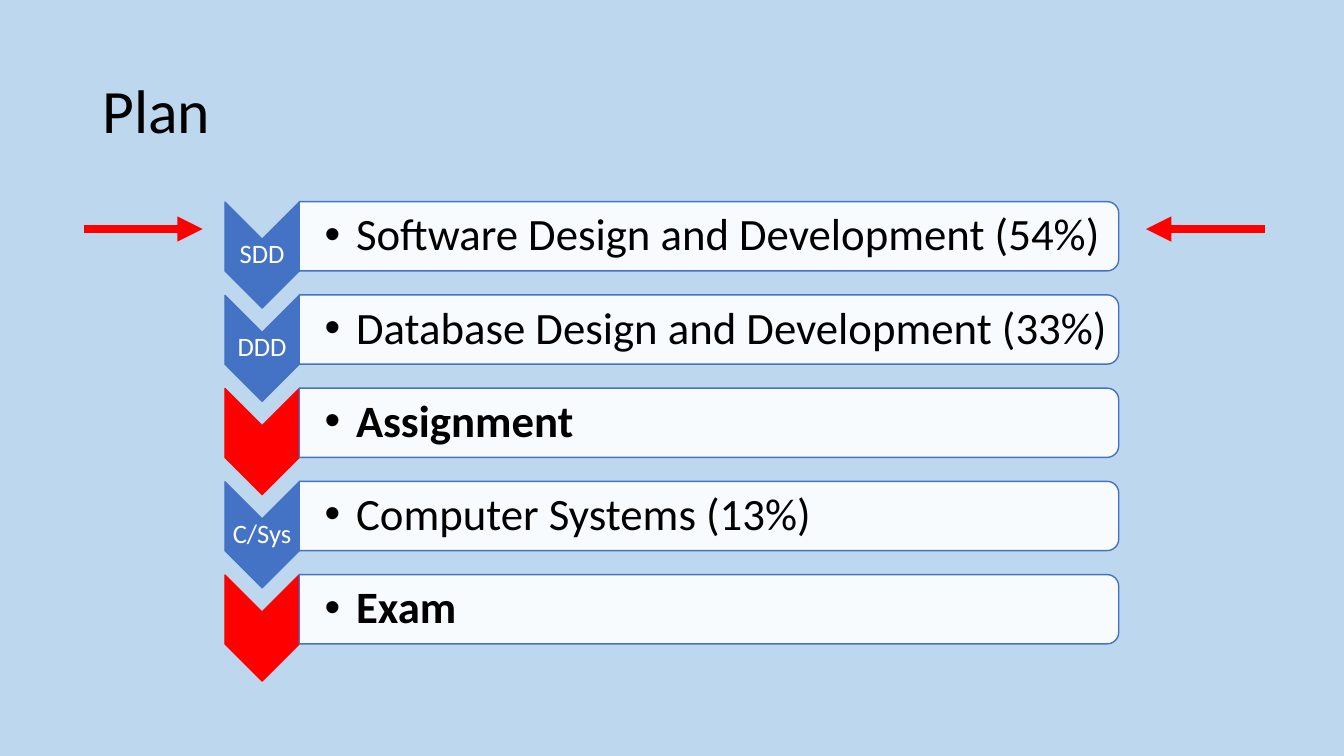
"""Build the course plan slide with its five stages and two marker arrows."""
import pptx
import pptx.dml.color
import pptx.enum.shapes
import pptx.enum.text
import pptx.oxml
import pptx.oxml.ns
import pptx.util

Pt = pptx.util.Pt
SHAPE = pptx.enum.shapes.MSO_SHAPE
ALIGN = pptx.enum.text.PP_ALIGN
MIDDLE = pptx.enum.text.MSO_ANCHOR.MIDDLE

BLUE, RED, WHITE, BLACK = "4472C4", "FF0000", "FFFFFF", "000000"
STAGES = [
    ("SDD", "Software Design and Development (54%)"),
    ("DDD", "Database Design and Development (33%)"),
    ("", "Assignment"),
    ("C/Sys", "Computer Systems (13%)"),
    ("", "Exam"),
]
ROW_CENTER, ROW_PITCH = 168.8, 66.6
CHEVRON_CENTER, CHEVRON_DROP = 187.2, 13.4
CHEVRON_LENGTH, CHEVRON_BREADTH = 75.7, 53
PANEL_LEFT, PANEL_LENGTH, PANEL_BREADTH = 213.8, 585.3, 49.5
ARROW_Y = 163.6
ARROWS = [(60, 144.7), (903.6, 818.6)]


def set_color(color_format, value):
    color_format.rgb = pptx.dml.color.RGBColor.from_string(value)


def append_xml(parent, tag, attributes=""):
    namespace = pptx.oxml.ns.nsdecls("a")
    parent.append(pptx.oxml.parse_xml(f"<a:{tag} {namespace} {attributes}/>"))


def write(shape, text, size, color, align=ALIGN.LEFT, bold=False):
    frame = shape.text_frame
    frame.word_wrap = True
    frame.vertical_anchor = MIDDLE
    frame.text = text
    paragraph = frame.paragraphs[0]
    paragraph.alignment = align
    paragraph.line_spacing = 0.9
    paragraph.font.name = "Calibri"
    paragraph.font.size = Pt(size)
    paragraph.font.bold = bold
    set_color(paragraph.font.color, color)
    return paragraph


def add_title(slide, text):
    title = slide.shapes.title
    title.left, title.top, title.width, title.height = Pt(66), Pt(28.8), Pt(828), Pt(104.4)
    write(title, text, 44, BLACK)


def add_turned_shape(shapes, kind, center, size, fill, line):
    """Add a preset shape turned a quarter clockwise about its center."""
    (x, y), (width, height) = center, size
    shape = shapes.add_shape(kind, Pt(x - width / 2), Pt(y - height / 2), Pt(width), Pt(height))
    shape.rotation = 90
    shape.shadow.inherit = False
    shape.fill.solid()
    set_color(shape.fill.fore_color, fill)
    set_color(shape.line.color, line)
    shape.line.width = Pt(1)
    return shape


def add_text_box(shapes, left, center_y, width, height, inset, left_inset):
    box = shapes.add_textbox(Pt(left), Pt(center_y - height / 2), Pt(width), Pt(height))
    frame = box.text_frame
    frame.margin_left = Pt(left_inset)
    frame.margin_top = frame.margin_right = frame.margin_bottom = Pt(inset)
    return box


def add_chevron(shapes, center_y, label):
    color = BLUE if label else RED
    add_turned_shape(shapes, SHAPE.CHEVRON, (CHEVRON_CENTER, center_y),
                     (CHEVRON_LENGTH, CHEVRON_BREADTH), color, color)
    if label:
        left = CHEVRON_CENTER - CHEVRON_BREADTH / 2
        box = add_text_box(shapes, left, center_y, CHEVRON_BREADTH, 23, 0.9, 0.9)
        write(box, label, 19, WHITE, ALIGN.CENTER)


def add_panel(shapes, center_y, text, bold):
    panel = add_turned_shape(shapes, SHAPE.ROUND_2_SAME_RECTANGLE,
                             (PANEL_LEFT + PANEL_LENGTH / 2, center_y),
                             (PANEL_BREADTH, PANEL_LENGTH), WHITE, BLUE)
    fill_color = panel.fill._xPr.find(".//" + pptx.oxml.ns.qn("a:srgbClr"))
    append_xml(fill_color, "alpha", 'val="90000"')
    box = add_text_box(shapes, PANEL_LEFT, center_y, 582.5, 44.6, 1.6, 18)
    paragraph = write(box, text, 32, BLACK, bold=bold)
    properties = paragraph._p.get_or_add_pPr()
    properties.set("marL", str(Pt(22.5)))
    properties.set("indent", str(-Pt(22.5)))
    append_xml(properties, "buFont", 'typeface="Arial"')
    append_xml(properties, "buChar", 'char="•"')


def add_arrow(slide, start, end):
    arrow = slide.shapes.add_connector(pptx.enum.shapes.MSO_CONNECTOR.STRAIGHT,
                                       Pt(start), Pt(ARROW_Y), Pt(end), Pt(ARROW_Y))
    set_color(arrow.line.color, RED)
    arrow.line.width = Pt(6)
    append_xml(arrow.line._get_or_add_ln(), "tailEnd", 'type="triangle"')
    append_xml(arrow._element.spPr, "effectLst")


def main():
    presentation = pptx.Presentation()
    presentation.slide_width, presentation.slide_height = Pt(960), Pt(540)
    slide = presentation.slides.add_slide(presentation.slide_layouts.get_by_name("Title Only"))
    slide.background.fill.solid()
    set_color(slide.background.fill.fore_color, "BDD7EE")
    add_title(slide, "Plan")
    shapes = slide.shapes.add_group_shape().shapes
    for row, (label, text) in enumerate(STAGES):
        center_y = ROW_CENTER + row * ROW_PITCH
        add_chevron(shapes, center_y + CHEVRON_DROP, label)
        add_panel(shapes, center_y, text, bold=not label)
    for start, end in ARROWS:
        add_arrow(slide, start, end)
    presentation.save("out.pptx")


if __name__ == "__main__":
    main()
